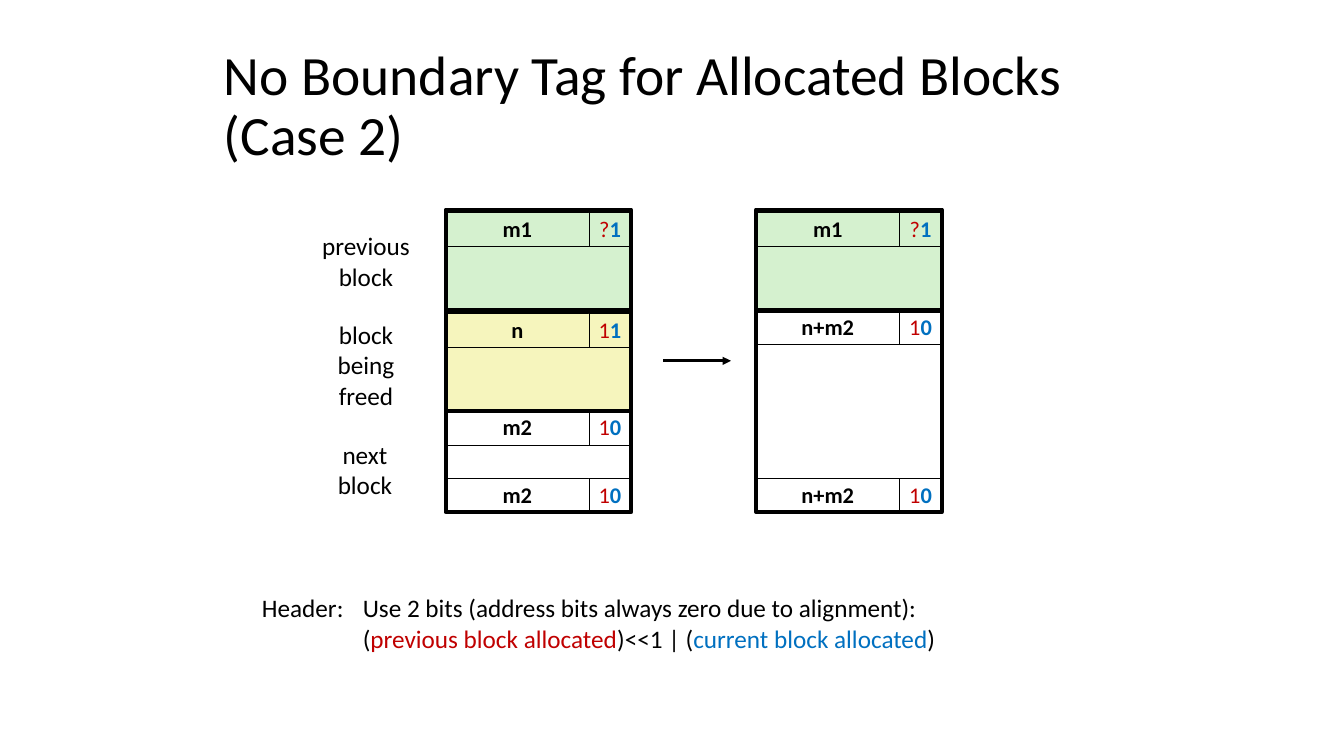
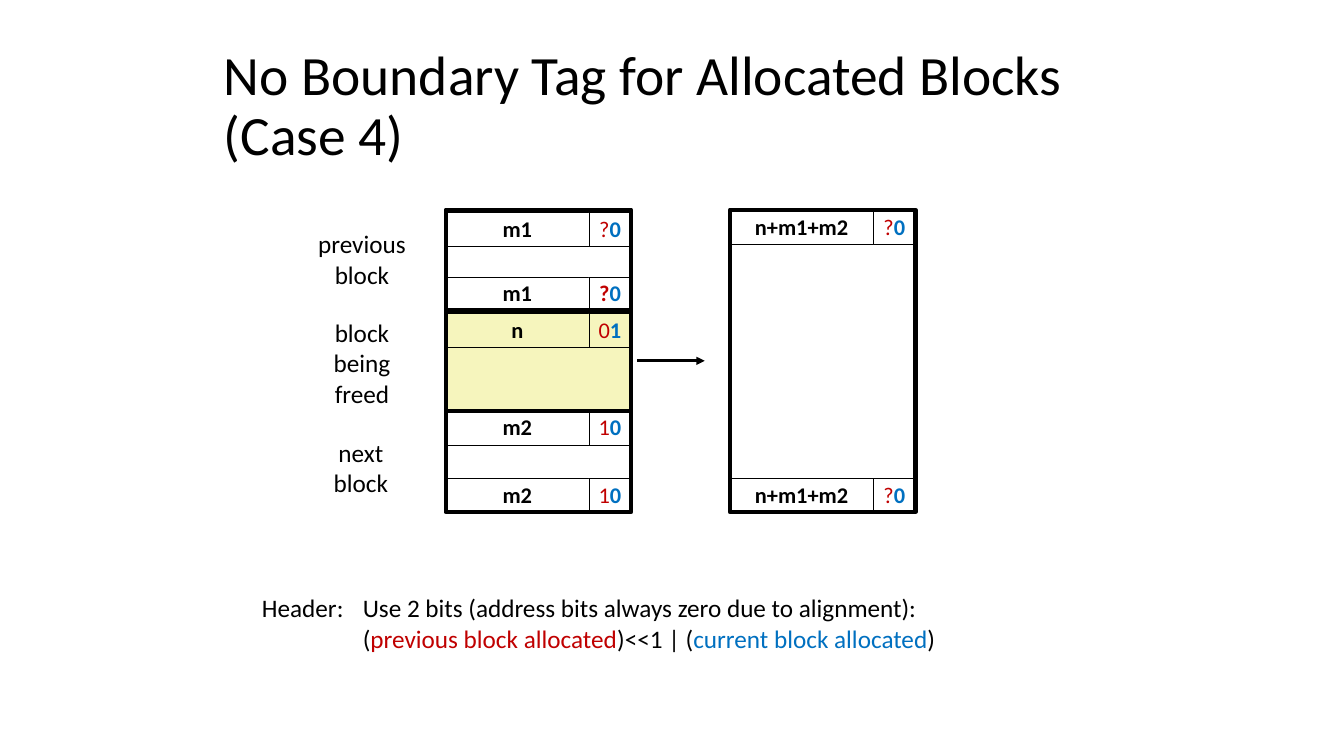
from lxml.etree import SubElement
from pptx import Presentation
from pptx.dml.color import RGBColor
from pptx.enum.shapes import MSO_CONNECTOR, MSO_SHAPE
from pptx.enum.text import MSO_ANCHOR, MSO_AUTO_SIZE, PP_ALIGN
from pptx.oxml.ns import qn
from pptx.util import Inches, Pt

FONT = "Calibri"
COLORS = {"text": "000000", "previous": "C00000", "current": "0070C0",
          "allocated": "D5F1CF", "freed": "F6F5BD", "free": "FFFFFF"}

STACK_TOP, ROW, SIZE_W, BITS_W = 2.08, 1 / 3, 1.42, 0.42
BLOCK_W = SIZE_W + BITS_W
LEFT_X = 4.42
ARROW_Y, ARROW_GAP, ARROW_LEN = 3.58, 0.92, 0.67

LABELS = [
    (["previous", "block"], 3.08, 2.24, 1.1, 0.71),
    (["block", "being", "freed"], 3.24, 3.12, 0.78, 1.01),
    (["next", "block"], 3.24, 4.31, 0.76, 0.71),
]
HEADER_NOTE = [
    [("Header: \tUse 2 bits (address bits always zero due to alignment):", "text")],
    [("\t(", "text"), ("previous block allocated", "previous"), (")<<1 | (", "text"),
     ("current block allocated", "current"), (")", "text")],
]


def block(first_row, rows, fill, size, bits, footer=False, drop=0.0, bold_footer=False):
    return dict(first_row=first_row, rows=rows, fill=fill, size=size, bits=bits,
                footer=footer, drop=drop, bold_footer=bold_footer)


NEXT = block(6, 3, "free", "m2", "10", footer=True)
PREVIOUS = block(0, 3, "allocated", "m1", "?1", drop=0.03)
CASES = [
    dict(title="No Boundary Tag for Allocated Blocks (Case 2)",
         before=[PREVIOUS, block(3, 3, "freed", "n", "11", drop=0.03), NEXT],
         after=[PREVIOUS, block(3, 6, "free", "n+m2", "10", footer=True)],
         after_x=7.5, label_shift=(0, 0)),
    dict(title="No Boundary Tag for Allocated Blocks (Case 4)",
         before=[block(0, 3, "free", "m1", "?0", footer=True, drop=0.03, bold_footer=True),
                 block(3, 3, "freed", "n", "01", drop=0.03), NEXT],
         after=[block(0, 9, "free", "n+m1+m2", "?0", footer=True, drop=0.01)],
         after_x=7.24, label_shift=(-0.04, -0.02)),
]


def rgb(name):
    return RGBColor.from_string(COLORS[name])


def add_run(p, text, size, color="text", bold=False):
    r = p.add_run()
    r.text = text
    r.font.name, r.font.size, r.font.bold = FONT, Pt(size), bold
    r.font.color.rgb = rgb(color)


def add_rect(s, x, y, w, h, fill=None, line=0.25, runs=()):
    sp = s.shapes.add_shape(MSO_SHAPE.RECTANGLE, Inches(x), Inches(y), Inches(w), Inches(h))
    sp.shadow.inherit = False
    sp.line.color.rgb = rgb("text")
    sp.line.width = Pt(line)
    if fill:
        sp.fill.solid()
        sp.fill.fore_color.rgb = rgb(fill)
    else:
        sp.fill.background()
    if runs:
        tf = sp.text_frame
        tf.word_wrap = False
        tf.vertical_anchor = MSO_ANCHOR.MIDDLE
        p = tf.paragraphs[0]
        p.alignment, p.line_spacing = PP_ALIGN.CENTER, 0.98
        for text, color, bold in runs:
            add_run(p, text, 16, color, bold)


def add_tag(s, x, y, b, bold_previous=False):
    add_rect(s, x, y, SIZE_W, ROW, b["fill"], runs=[(b["size"], "text", True)])
    add_rect(s, x + SIZE_W, y, BITS_W, ROW, b["fill"],
             runs=[(b["bits"][0], "previous", bold_previous), (b["bits"][1], "current", True)])


def add_stack(s, x, blocks):
    for b in blocks:
        top = STACK_TOP + b["first_row"] * ROW
        height = b["rows"] * ROW
        header_y = top + b["drop"]
        body_y = header_y + ROW
        body_end = top + height - (ROW if b["footer"] else 0)
        add_rect(s, x, body_y, BLOCK_W, body_end - body_y, b["fill"])
        add_tag(s, x, header_y, b)
        if b["footer"]:
            add_tag(s, x, body_end, b, b["bold_footer"])
        add_rect(s, x, top, BLOCK_W, height, line=3)


def add_arrow(s, x):
    c = s.shapes.add_connector(MSO_CONNECTOR.STRAIGHT, Inches(x), Inches(ARROW_Y),
                               Inches(x + ARROW_LEN), Inches(ARROW_Y))
    c.line.color.rgb = rgb("text")
    c.line.width = Pt(2)
    SubElement(c.line._get_or_add_ln(), qn("a:tailEnd"), type="triangle")
    SubElement(c._element.spPr, qn("a:effectLst"))


def add_text(s, lines, x, y, w, h, align=PP_ALIGN.LEFT, tab=None):
    tf = s.shapes.add_textbox(Inches(x), Inches(y), Inches(w), Inches(h)).text_frame
    tf.word_wrap = False
    tf.auto_size = MSO_AUTO_SIZE.SHAPE_TO_FIT_TEXT
    p = tf.paragraphs[0]
    p.alignment = align
    if tab:
        tabs = SubElement(p._p.get_or_add_pPr(), qn("a:tabLst"))
        SubElement(tabs, qn("a:tab"), pos=str(Inches(tab)), algn="l")
    for i, line in enumerate(lines):
        if i:
            p.add_line_break()
        for text, color in line:
            add_run(p, text, 18, color)


def add_title(s, text):
    tf = s.shapes.title.text_frame
    tf.auto_size = MSO_AUTO_SIZE.NONE
    tf.vertical_anchor = MSO_ANCHOR.MIDDLE
    p = tf.paragraphs[0]
    p.alignment, p.line_spacing = PP_ALIGN.LEFT, 0.9
    add_run(p, text, 39.6)


def main():
    prs = Presentation()
    prs.slide_width, prs.slide_height = Inches(13.33), Inches(7.5)
    layout = prs.slide_layouts[5]
    title = layout.placeholders[0]
    title.left, title.top = Inches(2.12), Inches(0.75)
    title.width, title.height = Inches(9.08), Inches(0.63)
    for case in CASES:
        s = prs.slides.add_slide(layout)
        add_title(s, case["title"])
        add_stack(s, LEFT_X, case["before"])
        add_stack(s, case["after_x"], case["after"])
        add_arrow(s, case["after_x"] - ARROW_GAP)
        dx, dy = case["label_shift"]
        for words, x, y, w, h in LABELS:
            add_text(s, [[(word, "text")] for word in words], x + dx, y + dy, w, h,
                     PP_ALIGN.CENTER)
        add_text(s, HEADER_NOTE, 2.5, 5.83, 7.06, 0.71, tab=1)
    prs.save("out.pptx")


if __name__ == "__main__":
    main()
